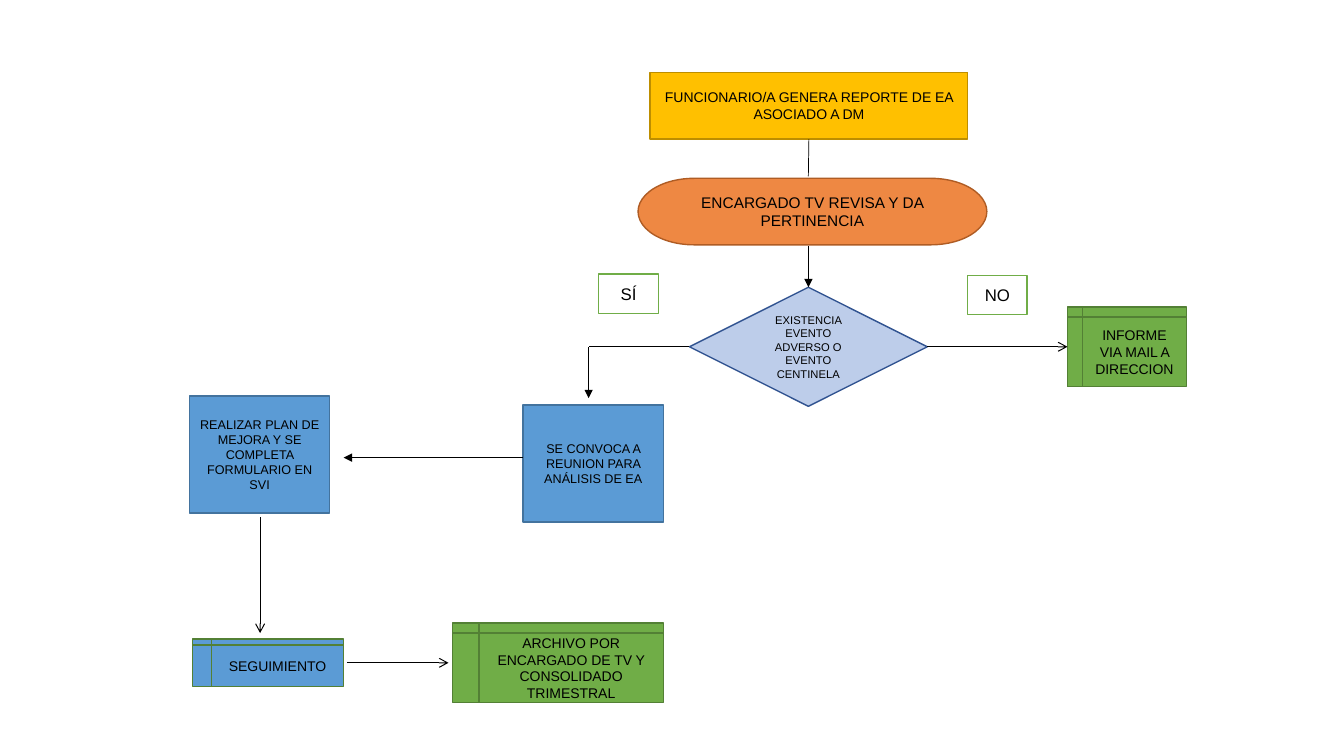
from lxml.etree import SubElement
from pptx import Presentation
from pptx.dml.color import RGBColor
from pptx.enum.shapes import MSO_CONNECTOR, MSO_SHAPE
from pptx.enum.text import MSO_ANCHOR, PP_ALIGN
from pptx.oxml.ns import qn
from pptx.util import Pt

BLACK = RGBColor(0x00, 0x00, 0x00)
WHITE = RGBColor(0xFF, 0xFF, 0xFF)
AMBER = RGBColor(0xFF, 0xC0, 0x00)
AMBER_DARK = RGBColor(0xBD, 0x8E, 0x00)
ORANGE = RGBColor(0xED, 0x7D, 0x31)
ORANGE_DARK = RGBColor(0xAF, 0x5C, 0x24)
INDIGO = RGBColor(0x44, 0x72, 0xC4)
INDIGO_DARK = RGBColor(0x32, 0x54, 0x91)
GREEN = RGBColor(0x70, 0xAD, 0x47)
GREEN_DARK = RGBColor(0x53, 0x80, 0x35)
BLUE = RGBColor(0x5B, 0x9B, 0xD5)
BLUE_DARK = RGBColor(0x43, 0x73, 0x9E)

TOP, LEFT, BOTTOM, RIGHT = range(4)
PROCESS = MSO_SHAPE.FLOWCHART_PROCESS
STORAGE = MSO_SHAPE.FLOWCHART_INTERNAL_STORAGE


def add_node(s, kind, box, text, size, fill, line, opacity=100):
    sp = s.shapes.add_shape(kind, *(Pt(v) for v in box))
    sp.shadow.inherit = False
    sp.fill.solid()
    sp.fill.fore_color.rgb = fill
    if opacity < 100:
        color = sp.fill._xPr.find(qn("a:solidFill"))[0]
        SubElement(color, qn("a:alpha")).set("val", str(opacity * 1000))
    sp.line.color.rgb = line
    sp.line.width = Pt(1)
    tf = sp.text_frame
    tf.word_wrap = True
    tf.vertical_anchor = MSO_ANCHOR.MIDDLE
    tf.text = text
    p = tf.paragraphs[0]
    p.alignment = PP_ALIGN.CENTER
    font = p.runs[0].font
    font.name = "Arial"
    font.size = Pt(size)
    font.color.rgb = BLACK
    return sp


def add_link(s, start, end, head=None, width=0.5, begin=None, finish=None):
    ends = (Pt(v) for v in (*start, *end))
    cn = s.shapes.add_connector(MSO_CONNECTOR.STRAIGHT, *ends)
    cn.line.color.rgb = BLACK
    cn.line.width = Pt(width)
    if head:
        SubElement(cn.line._get_or_add_ln(), qn("a:tailEnd")).set("type", head)
    SubElement(cn._element.spPr, qn("a:effectLst"))
    if begin:
        cn.begin_connect(*begin)
    if finish:
        cn.end_connect(*finish)


def add_intake(s, x, y, w, h):
    node_h = 47.5
    axis = x + 121.6
    report = add_node(s, PROCESS, (x + 8.6, y, 226.8, node_h),
                      "FUNCIONARIO/A GENERA REPORTE DE EA ASOCIADO A DM",
                      10, AMBER, AMBER_DARK)
    add_node(s, MSO_SHAPE.FLOWCHART_TERMINATOR,
             (x, y + h - node_h, w, node_h),
             "ENCARGADO TV REVISA Y DA PERTINENCIA",
             11, ORANGE, ORANGE_DARK, 91)
    add_link(s, (axis, y + node_h), (axis, y + 74.2), begin=(report, BOTTOM))


def add_decision(s, x, y, w, h):
    dec_w, dec_h = 169.9, 85
    dec_x, dec_y = x + 72, y + h - dec_h
    mid_x, mid_y = dec_x + dec_w / 2, dec_y + dec_h / 2
    mail_w, mail_h = 85, 56.9
    mail_x = x + w - mail_w
    decision = add_node(s, MSO_SHAPE.FLOWCHART_DECISION,
                        (dec_x, dec_y, dec_w, dec_h),
                        "EXISTENCIA EVENTO ADVERSO O EVENTO CENTINELA",
                        8, INDIGO, INDIGO_DARK, 35)
    mail = add_node(s, STORAGE, (mail_x, mid_y - mail_h / 2, mail_w, mail_h),
                    "INFORME VIA MAIL A DIRECCION", 10, GREEN, GREEN_DARK)
    for label, dx, dy in (("SÍ", 7.2, 0), ("NO", 270.7, 0.8)):
        add_node(s, MSO_SHAPE.RECTANGLE, (x + dx, y + dy, 42.5, 28.1),
                 label, 12, WHITE, GREEN)
    add_link(s, (mid_x, y - 20.2), (mid_x, dec_y), "triangle",
             finish=(decision, TOP))
    add_link(s, (dec_x + dec_w, mid_y), (mail_x, mid_y), "arrow", 0.75,
             (decision, RIGHT), (mail, LEFT))
    add_link(s, (dec_x, mid_y), (x, mid_y), begin=(decision, LEFT))
    add_link(s, (x, mid_y), (x, y + 88.6), "triangle")


def add_analysis(s, x, y, w, h):
    node_w, node_h = 100.1, 83.5
    meeting_x = x + w - node_w
    add_node(s, PROCESS, (x, y, node_w, node_h),
             "REALIZAR PLAN DE MEJORA Y SE COMPLETA FORMULARIO EN SVI",
             9, BLUE, BLUE_DARK)
    add_node(s, PROCESS, (meeting_x, y + h - node_h, node_w, node_h),
             "SE CONVOCA A REUNION PARA ANÁLISIS DE EA", 9, BLUE, BLUE_DARK)
    add_link(s, (meeting_x, y + 43.9), (x + 110.1, y + 43.9), "triangle")


def add_follow_up(s, x, y, w, h):
    mid_y = y + h / 2
    track_h, archive_w = 33.8, 150.5
    add_node(s, STORAGE, (x, mid_y - track_h / 2, 108, track_h),
             "SEGUIMIENTO", 10, BLUE, GREEN_DARK)
    add_node(s, STORAGE, (x + w - archive_w, y, archive_w, h),
             "ARCHIVO POR ENCARGADO DE TV Y CONSOLIDADO TRIMESTRAL",
             10, GREEN, GREEN_DARK)
    add_link(s, (x + 48.3, y - 75.6), (x + 48.3, y + 7.2), "arrow", 0.75)
    add_link(s, (x + 110.2, mid_y), (x + 182.9, mid_y), "arrow", 0.75)


def main():
    prs = Presentation()
    prs.slide_width, prs.slide_height = Pt(960), Pt(540)
    s = prs.slides.add_slide(prs.slide_layouts[6])
    add_intake(s, 455.8, 51.8, 249.1, 123.1)
    add_decision(s, 420.5, 195.8, 427, 94.4)
    add_analysis(s, 135.4, 283, 338.4, 89.9)
    add_follow_up(s, 137.5, 445, 336.3, 56.9)
    prs.save("out.pptx")


if __name__ == "__main__":
    main()
